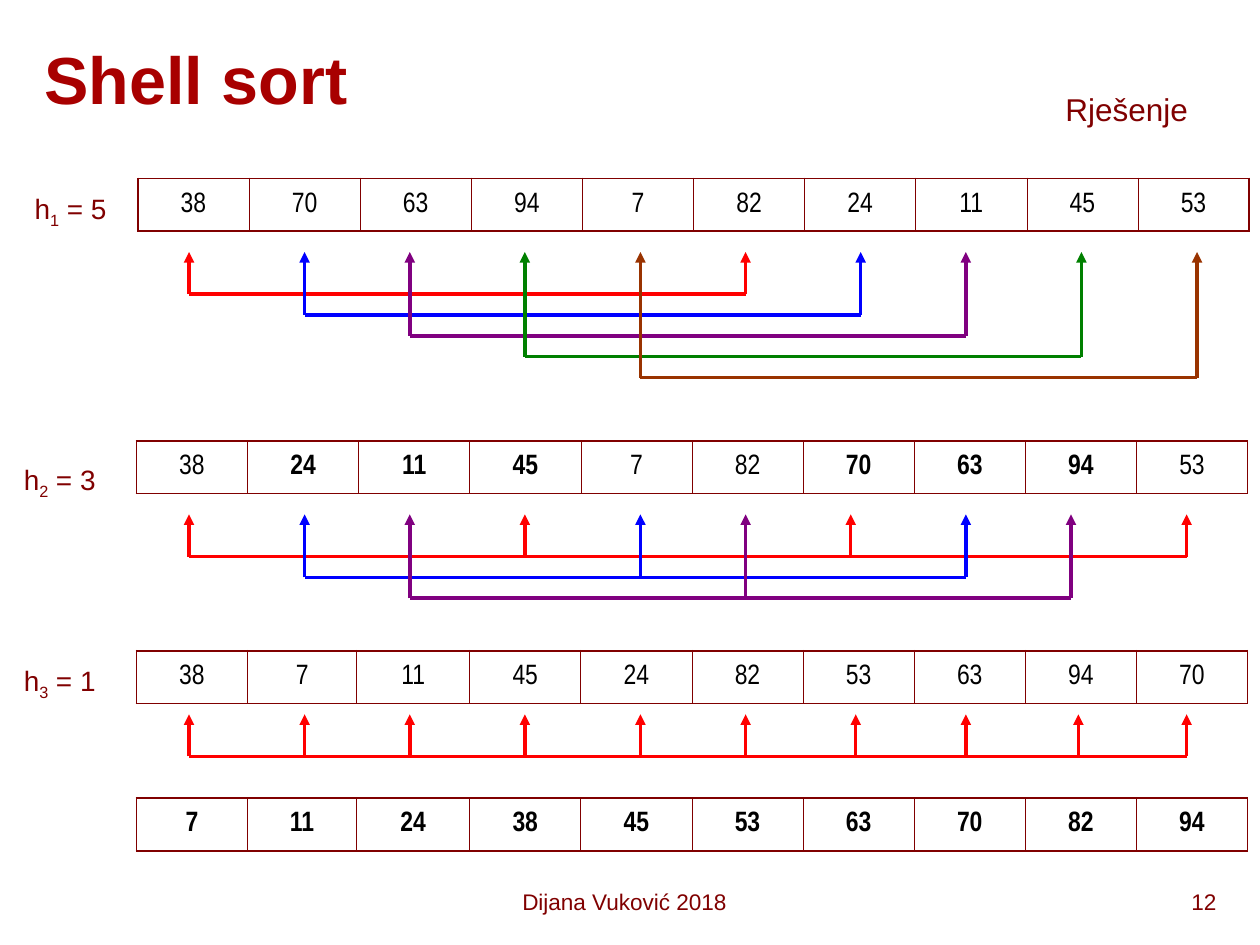
"""Build a slide that traces Shell sort on ten numbers with gaps 5, 3 and 1."""
import pptx
import pptx.dml.color
import pptx.enum.shapes
import pptx.enum.text
import pptx.oxml
import pptx.oxml.ns
import pptx.util

Cm = pptx.util.Cm
Pt = pptx.util.Pt
RGBColor = pptx.dml.color.RGBColor
ALIGN = pptx.enum.text.PP_ALIGN
MIDDLE = pptx.enum.text.MSO_ANCHOR.MIDDLE
GROW = pptx.enum.text.MSO_AUTO_SIZE.SHAPE_TO_FIT_TEXT
STRAIGHT = pptx.enum.shapes.MSO_CONNECTOR.STRAIGHT
NS = pptx.oxml.ns.nsdecls("a")

MAROON = RGBColor(0x80, 0x00, 0x00)
CRIMSON = RGBColor(0xA8, 0x00, 0x00)
BLACK = RGBColor(0x00, 0x00, 0x00)
RED = RGBColor(0xFF, 0x00, 0x00)
BLUE = RGBColor(0x00, 0x00, 0xFF)
PURPLE = RGBColor(0x80, 0x00, 0x80)
GREEN = RGBColor(0x00, 0x80, 0x00)
BROWN = RGBColor(0x99, 0x33, 0x00)
HUES = [RED, BLUE, PURPLE, GREEN, BROWN]


def style(font, color, **values):
    for name, value in values.items():
        setattr(font, name, value)
    font.color.rgb = color


def draw(group, start, end, color, arrow):
    line = group.shapes.add_connector(STRAIGHT, *map(Cm, start + end))
    line.line.color.rgb = color
    line.line.width = Pt(2)
    frame = line.element.spPr
    if arrow:
        frame.get_or_add_ln().append(pptx.oxml.parse_xml(f'<a:tailEnd {NS} type="triangle"/>'))
    frame.append(pptx.oxml.parse_xml(f"<a:effectLst {NS}/>"))


deck = pptx.Presentation()
deck.slide_width, deck.slide_height = Cm(25.4), Cm(19.05)
slide = deck.slides.add_slide(deck.slide_layouts[5])

title = slide.shapes.title
place = {"left": 0.64, "top": 0.2, "width": 24.13, "height": 2.74}
for name, value in place.items():
    setattr(title, name, Cm(value))
title.text_frame.text = "Shell sort"
title.text_frame.vertical_anchor = MIDDLE
head = title.text_frame.paragraphs[0]
head.alignment = ALIGN.LEFT
style(head.runs[0].font, CRIMSON, name="Arial", size=Pt(38), bold=True)

EVEN = [2.24] * 10
UNEVEN = [2.24, 2.2, 2.28] + [2.24] * 7
tables = [
    (2.78, 3.6, EVEN, [38, 70, 63, 94, 7, 82, 24, 11, 45, 53], set()),
    (2.75, 8.89, EVEN, [38, 24, 11, 45, 7, 82, 70, 63, 94, 53], {1, 2, 3, 6, 7, 8}),
    (2.75, 13.12, UNEVEN, [38, 7, 11, 45, 24, 82, 53, 63, 94, 70], set()),
    (2.75, 16.09, UNEVEN, [7, 11, 24, 38, 45, 53, 63, 70, 82, 94], set(range(10))),
]
for left, top, widths, numbers, moved in tables:
    size = Cm(left), Cm(top), Cm(sum(widths)), Cm(1.06)
    table = slide.shapes.add_table(1, len(numbers), *size).table
    table.first_row = table.horz_banding = False
    for col, number in enumerate(numbers):
        table.columns[col].width = Cm(widths[col])
        cell = table.cell(0, col)
        cell.text = str(number)
        cell.vertical_anchor = MIDDLE
        para = cell.text_frame.paragraphs[0]
        para.alignment = ALIGN.CENTER
        style(para.runs[0].font, BLACK, name="Arial Narrow", size=Pt(16), bold=col in moved)
        edges = {"L": 0.45 if col else 1.08, "R": 0.45 if col < 9 else 1.08, "T": 1.08, "B": 1.08}
        for side, weight in edges.items():
            cell.fill.background()
            props = cell._tc.get_or_add_tcPr()
            props.insert(len(props) - 1, pptx.oxml.parse_xml(
                f'<a:ln{side} {NS} w="{Pt(weight)}"><a:solidFill>'
                f'<a:srgbClr val="{MAROON}"/></a:solidFill></a:ln{side}>'))

stops = [3.81, 6.14, 8.26, 10.58, 12.91, 15.03]
rounds = [
    (5, 5.08, stops + [17.35, 19.47, 21.8, 24.13]),
    (3, 10.37, stops + [17.15, 19.47, 21.59, 23.92]),
    (1, 14.4, stops + [17.25, 19.47, 21.74, 23.92]),
]
for gap, top, spots in rounds:
    for lane in range(gap):
        chain = spots[lane::gap]
        base = top + 0.85 + 0.42 * lane
        group = slide.shapes.add_group_shape()
        draw(group, (chain[0], base), (chain[-1], base), HUES[lane], False)
        for spot in chain:
            draw(group, (spot, base), (spot, top), HUES[lane], True)

labels = [
    (["Dijana Vuković 2018"], 9.5, 17.78, 6.17, 0.84, 12.9, ALIGN.CENTER, True),
    (["12"], 19.69, 17.78, 5.08, 0.84, 12.9, ALIGN.RIGHT, True),
    (["Rješenje"], 21.23, 1.7, 2.97, 1.02, 18, ALIGN.LEFT, False),
    (["h", "1", " = 5"], 0.45, 3.73, 1.96, 1.04, 16, ALIGN.LEFT, False),
    (["h", "2", " = 3"], 0.23, 9.19, 1.96, 1.04, 16, ALIGN.LEFT, False),
    (["h", "3", " = 1"], 0.23, 13.26, 1.96, 1.04, 16, ALIGN.LEFT, False),
]
for parts, left, top, width, height, size, align, wrap in labels:
    box = slide.shapes.add_textbox(Cm(left), Cm(top), Cm(width), Cm(height))
    box.text_frame.word_wrap = wrap
    if not wrap:
        box.text_frame.auto_size = GROW
    para = box.text_frame.paragraphs[0]
    para.alignment = align
    for part in parts:
        run = para.add_run()
        run.text = part
        style(run.font, MAROON, name="Arial", size=Pt(size))
    for mark in box.element.xpath(".//a:rPr")[1:2]:
        mark.set("baseline", "-25000")

deck.save("out.pptx")
